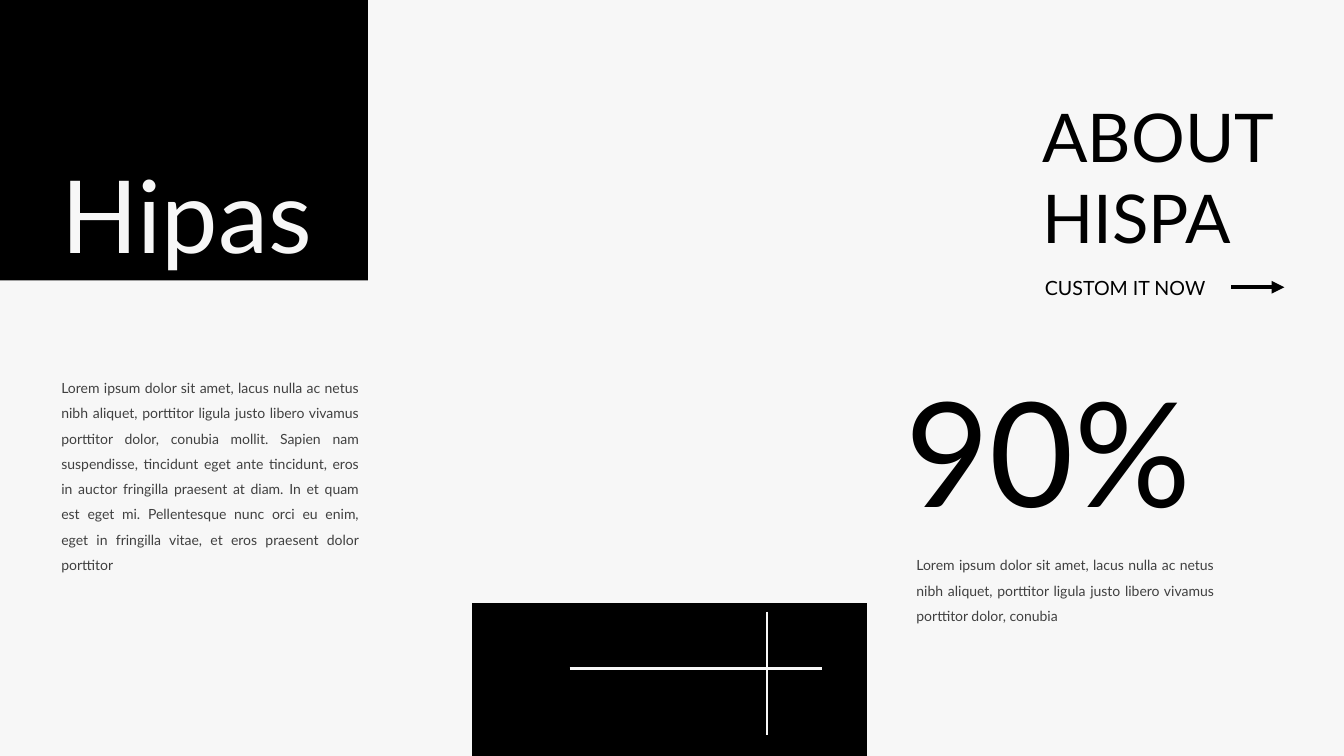
from dataclasses import dataclass

from pptx import Presentation
from pptx.dml.color import RGBColor
from pptx.enum.shapes import MSO_CONNECTOR as Connector, MSO_SHAPE as Preset
from pptx.enum.text import MSO_ANCHOR as Anchor, MSO_AUTO_SIZE as AutoSize, PP_ALIGN as Align
from pptx.oxml.ns import qn
from pptx.util import Inches, Pt

COLUMNS, ROWS = 160, 90
SLIDE_WIDTH, SLIDE_HEIGHT = Inches(13.33), Inches(7.5)


@dataclass(frozen=True)
class Theme:
    """Colours, font and type sizes of the slide."""
    paper: str = "F7F7F7"
    ink: str = "000000"
    copy: str = "404040"
    font: str = "Lato"
    figure: int = 104
    name: int = 72
    title: int = 48
    label: int = 14
    body: int = 10


THEME = Theme()


@dataclass(frozen=True)
class Box:
    """An area in grid columns and rows."""
    left: float
    top: float
    width: float
    height: float

    def inner(self, left, top, width, height):
        """Return an area placed relative to this one."""
        return Box(self.left + left, self.top + top, width, height)

    def frame(self):
        """Return left, top, width and height as slide lengths."""
        column, row = SLIDE_WIDTH / COLUMNS, SLIDE_HEIGHT / ROWS
        return (round(self.left * column), round(self.top * row),
                round(self.width * column), round(self.height * row))


def colour(code):
    """Turn a hex code into a colour."""
    return RGBColor.from_string(code)


def write(shape, lines, size, code, align=Align.LEFT, spacing=1.0):
    """Fill a text shape with one paragraph per line."""
    frame = shape.text_frame
    frame.word_wrap = True
    frame.auto_size = AutoSize.NONE
    frame.vertical_anchor = Anchor.TOP
    for index, line in enumerate(lines):
        paragraph = frame.add_paragraph() if index else frame.paragraphs[0]
        paragraph.alignment = align
        paragraph.line_spacing = spacing
        paragraph.space_before = Pt(0)
        run = paragraph.add_run()
        run.text = line
        run.font.name = THEME.font
        run.font.size = Pt(size)
        run.font.color.rgb = colour(code)


def place(shape, box):
    """Move a placeholder to an area."""
    shape.left, shape.top, shape.width, shape.height = box.frame()


def add_text(slide, box, line, size, code):
    """Add a one-line text box."""
    write(slide.shapes.add_textbox(*box.frame()), [line], size, code)


def fill_body(placeholder, box, text):
    """Set justified copy without a bullet in a body placeholder."""
    place(placeholder, box)
    write(placeholder, [text], THEME.body, THEME.copy, Align.JUSTIFY, 1.5)
    properties = placeholder.text_frame.paragraphs[0]._p.get_or_add_pPr()
    properties.set("marL", "0")
    properties.set("indent", "0")
    properties.append(properties.makeelement(qn("a:buNone"), {}))


def add_block(slide, box):
    """Add a plain dark rectangle."""
    shape = slide.shapes.add_shape(Preset.RECTANGLE, *box.frame())
    shape.shadow.inherit = False
    shape.fill.solid()
    shape.fill.fore_color.rgb = colour(THEME.ink)
    shape.line.fill.background()


def add_line(slide, box, code, weight, arrow=False):
    """Add a line across an area, with an arrowhead if asked."""
    left, top, width, height = box.frame()
    line = slide.shapes.add_connector(Connector.STRAIGHT, left, top, left + width, top + height)
    line.line.color.rgb = colour(code)
    line.line.width = Pt(weight)
    properties = line._element.spPr
    if arrow:
        outline = properties.find(qn("a:ln"))
        outline.append(outline.makeelement(qn("a:tailEnd"), {"type": "triangle"}))
    properties.append(properties.makeelement(qn("a:effectLst"), {}))


def add_introduction(slide, box, body):
    """Place the name block and the copy beneath it."""
    add_block(slide, box.inner(0, 0, box.width, 33.4))
    add_text(slide, box.inner(6.1, 17.6, 35, 15.7), "Hipas", THEME.name, THEME.paper)
    fill_body(body, box.inner(6.1, 43.6, 37.8, 25.4),
              "Lorem ipsum dolor sit amet, lacus nulla ac netus nibh aliquet, porttitor "
              "ligula justo libero vivamus porttitor dolor, conubia mollit. Sapien nam "
              "suspendisse, tincidunt eget ante tincidunt, eros in auctor fringilla praesent "
              "at diam. In et quam est eget mi. Pellentesque nunc orci eu enim, eget in "
              "fringilla vitae, et eros praesent dolor porttitor")


def add_headline(slide, box):
    """Place the title, the call to action and its arrow."""
    title = slide.shapes.title
    place(title, box.inner(0, 0, box.width, 20.6))
    write(title, ["ABOUT", "HISPA"], THEME.title, THEME.ink)
    add_text(slide, box.inner(0.3, 21.4, 22.5, 4.1), "CUSTOM IT NOW", THEME.label, THEME.ink)
    add_line(slide, box.inner(23.7, 23.4, 6.3, 0), THEME.ink, 3, arrow=True)


def add_figure(slide, box, body):
    """Place the large percentage and its copy."""
    add_text(slide, box.inner(0, 0, 37.4, 22.2), "90%", THEME.figure, THEME.ink)
    fill_body(body, box.inner(1.3, 22.2, 37.8, 10.3),
              "Lorem ipsum dolor sit amet, lacus nulla ac netus nibh aliquet, porttitor "
              "ligula justo libero vivamus porttitor dolor, conubia")


def add_cross_panel(slide, box):
    """Place the dark panel with two crossing lines."""
    add_block(slide, box)
    for line in (box.inner(11.6, 7.8, 30.1, 0), box.inner(35.1, 1, 0, 14.7)):
        add_line(slide, line, THEME.paper, 2)


def build():
    """Build and save the presentation."""
    presentation = Presentation()
    presentation.slide_width, presentation.slide_height = SLIDE_WIDTH, SLIDE_HEIGHT
    slide = presentation.slides.add_slide(presentation.slide_layouts.get_by_name("Two Content"))
    slide.background.fill.solid()
    slide.background.fill.fore_color.rgb = colour(THEME.paper)
    _, introduction, explanation = slide.placeholders
    add_cross_panel(slide, Box(56.2, 71.8, 47, 18.2))
    add_introduction(slide, Box(0, 0, 43.8, 69), introduction)
    add_figure(slide, Box(106.6, 42.5, 39.1, 32.5), explanation)
    add_headline(slide, Box(122.9, 10.8, 31.1, 25.5))
    presentation.save("out.pptx")


build()
